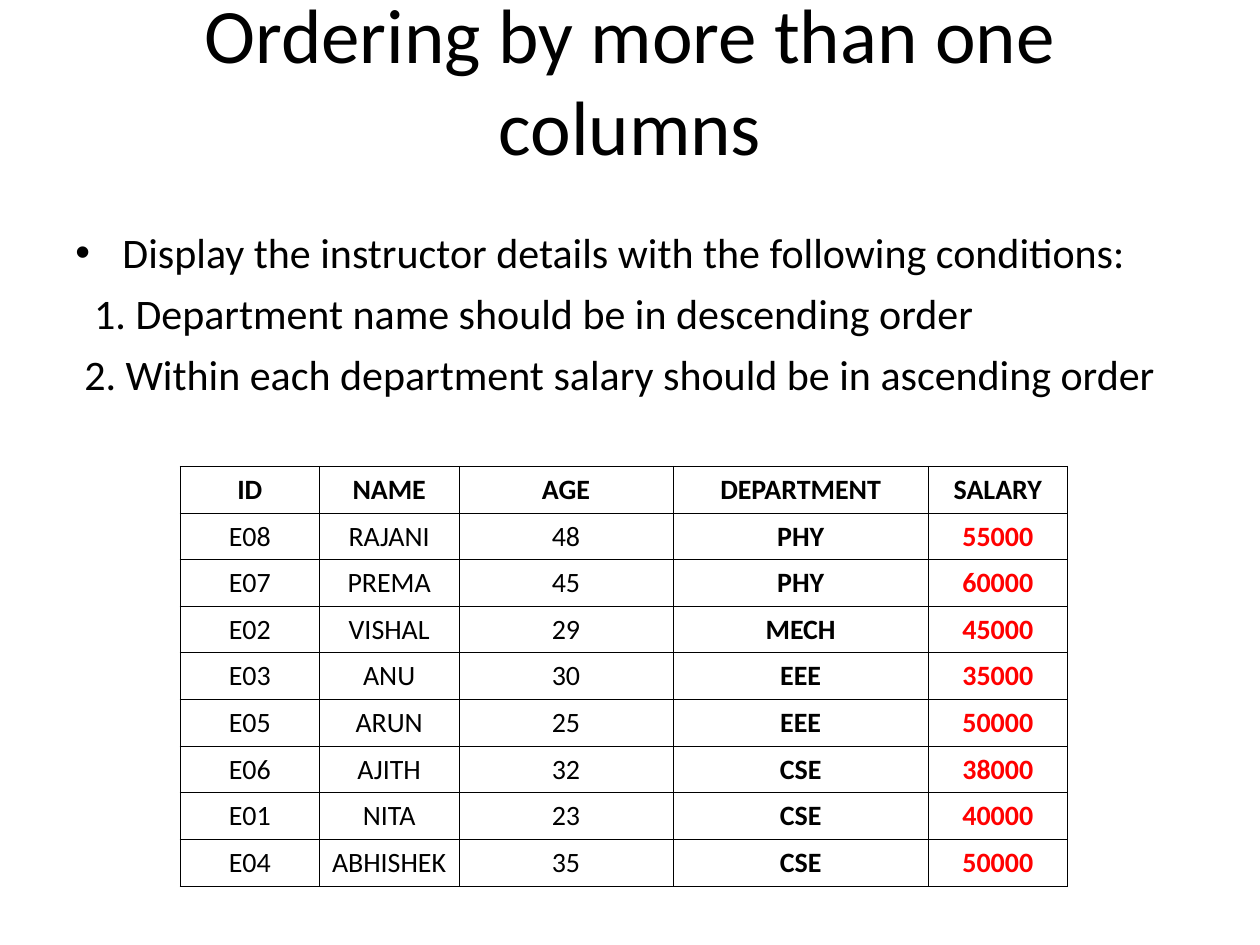
import pptx
import pptx.dml.color
import pptx.enum.text
import pptx.util
import pptx.oxml.ns
import lxml.etree

Cm = pptx.util.Cm
Pt = pptx.util.Pt
ALIGN = pptx.enum.text.PP_ALIGN
ANCHOR = pptx.enum.text.MSO_ANCHOR
qn = pptx.oxml.ns.qn

FONT = "Calibri"
BLACK, RED = "000000", "FF0000"

TITLE = "Ordering by more than one columns"
# text, left margin and first-line indent in cm, bullet
CONDITIONS = [
    ("Display the instructor details with the following conditions:", 0.95, -0.95, "•"),
    ("1. Department name should be in descending order", 0.38, 0, None),
    ("2. Within each department salary should be in ascending order", 0.18, 0, None),
]
HEADINGS = ("ID", "NAME", "AGE", "DEPARTMENT", "SALARY")
INSTRUCTORS = [
    ("E08", "RAJANI", 48, "PHY", 55000),
    ("E07", "PREMA", 45, "PHY", 60000),
    ("E02", "VISHAL", 29, "MECH", 45000),
    ("E03", "ANU", 30, "EEE", 35000),
    ("E05", "ARUN", 25, "EEE", 50000),
    ("E06", "AJITH", 32, "CSE", 38000),
    ("E01", "NITA", 23, "CSE", 40000),
    ("E04", "ABHISHEK", 35, "CSE", 50000),
]
COLUMN_WIDTHS = (2.81, 2.81, 4.32, 5.14, 2.81)
ROW_HEIGHT = 0.94


def rgb(value):
    return pptx.dml.color.RGBColor.from_string(value)


def write(paragraph, text, size=16, color=BLACK, bold=False, align=ALIGN.LEFT,
          before=0, margin=0, indent=0, bullet=None):
    paragraph.alignment = align
    paragraph.space_before = Pt(before)
    properties = paragraph._p.get_or_add_pPr()
    properties.set("marL", str(Cm(margin)))
    properties.set("indent", str(Cm(indent)))
    if bullet:
        lxml.etree.SubElement(properties, qn("a:buFont"), typeface="Arial")
        lxml.etree.SubElement(properties, qn("a:buChar"), char=bullet)
    run = paragraph.add_run()
    run.text = text
    run.font.name = FONT
    run.font.size = Pt(size)
    run.font.bold = bold
    run.font.color.rgb = rgb(color)


def add_text_frame(slide, left, top, width, height, anchor):
    frame = slide.shapes.add_textbox(Cm(left), Cm(top), Cm(width), Cm(height)).text_frame
    frame.word_wrap = True
    frame.vertical_anchor = anchor
    return frame


def add_borders(cell, color=BLACK, width=0.45):
    properties = cell._tc.get_or_add_tcPr()
    for side in ("a:lnL", "a:lnR", "a:lnT", "a:lnB"):
        line = lxml.etree.SubElement(properties, qn(side), w=str(Pt(width)))
        fill = lxml.etree.SubElement(line, qn("a:solidFill"))
        lxml.etree.SubElement(fill, qn("a:srgbClr"), val=color)


def add_instructor_table(slide):
    rows = [HEADINGS, *INSTRUCTORS]
    table = slide.shapes.add_table(
        len(rows), len(HEADINGS), Cm(3.63), Cm(9.4),
        Cm(sum(COLUMN_WIDTHS)), Cm(ROW_HEIGHT * len(rows))).table
    table.first_row = table.horz_banding = False
    for column, width in zip(table.columns, COLUMN_WIDTHS):
        column.width = Cm(width)
    for r, values in enumerate(rows):
        table.rows[r].height = Cm(ROW_HEIGHT)
        for heading, value, cell in zip(HEADINGS, values, table.rows[r].cells):
            is_heading = r == 0
            cell.margin_left = cell.margin_right = Cm(0.03)
            cell.margin_top = cell.margin_bottom = Cm(0.13)
            cell.vertical_anchor = ANCHOR.BOTTOM
            add_borders(cell)
            cell.fill.background()
            write(cell.text_frame.paragraphs[0], str(value), align=ALIGN.CENTER,
                  bold=is_heading or heading in ("DEPARTMENT", "SALARY"),
                  color=RED if heading == "SALARY" and not is_heading else BLACK)


def main():
    deck = pptx.Presentation()
    deck.slide_width, deck.slide_height = Cm(25.4), Cm(19.05)
    slide = deck.slides.add_slide(deck.slide_layouts[6])

    title = add_text_frame(slide, 1.27, 0.91, 22.86, 3.18, ANCHOR.BOTTOM)
    title.margin_bottom = Cm(0.64)
    write(title.paragraphs[0], TITLE, size=44, align=ALIGN.CENTER)

    conditions = add_text_frame(slide, 1.27, 4.45, 22.86, 12.57, ANCHOR.TOP)
    for i, (text, margin, indent, bullet) in enumerate(CONDITIONS):
        paragraph = conditions.add_paragraph() if i else conditions.paragraphs[0]
        write(paragraph, text, size=24, before=6, margin=margin, indent=indent, bullet=bullet)

    add_instructor_table(slide)
    deck.save("out.pptx")


if __name__ == "__main__":
    main()
